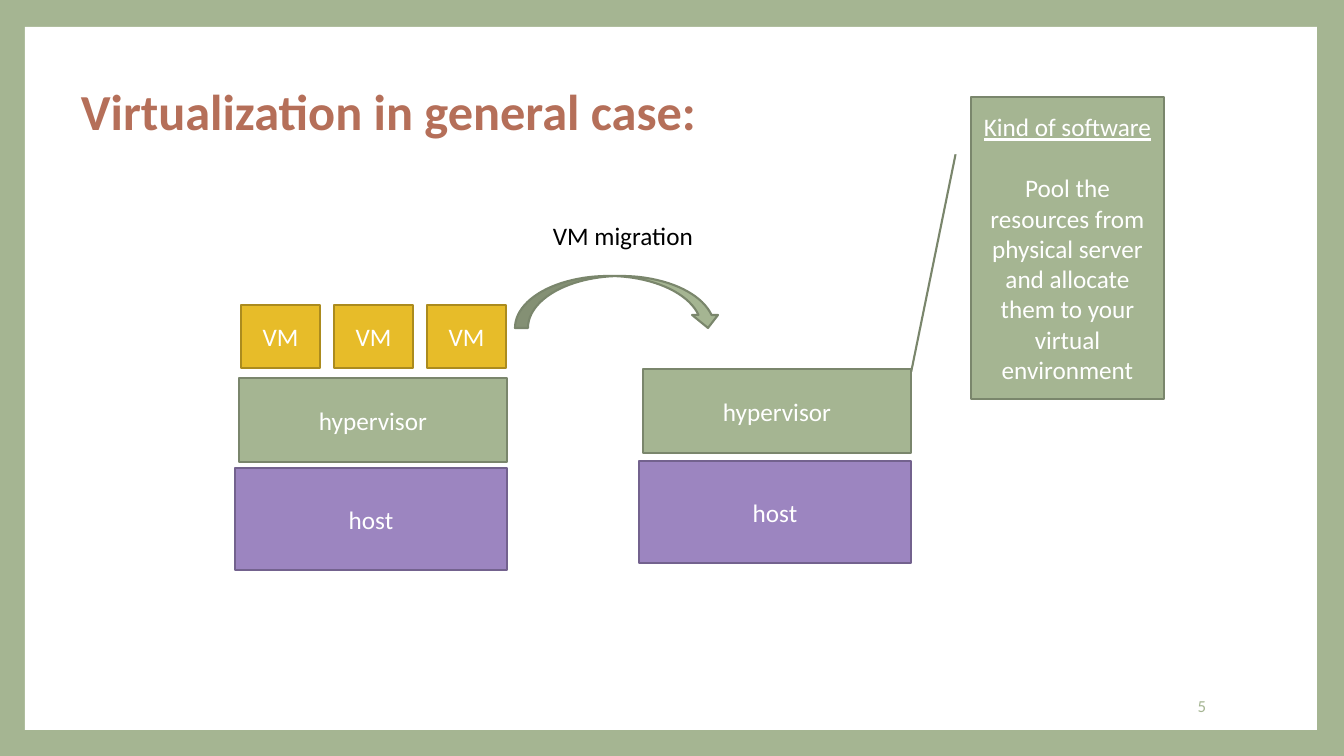
from dataclasses import dataclass

from pptx import Presentation
from pptx.dml.color import RGBColor
from pptx.enum.shapes import MSO_SHAPE
from pptx.enum.text import MSO_ANCHOR, PP_ALIGN
from pptx.util import Emu, Pt

RECT = MSO_SHAPE.RECTANGLE
ARROW = MSO_SHAPE.CURVED_DOWN_ARROW
CALLOUT = MSO_SHAPE.LINE_CALLOUT_1
TOP, MIDDLE = MSO_ANCHOR.TOP, MSO_ANCHOR.MIDDLE
LEFT, CENTER, RIGHT = PP_ALIGN.LEFT, PP_ALIGN.CENTER, PP_ALIGN.RIGHT

WIDE, HIGH = 1344, 756
SCALE = 12192000 / WIDE


@dataclass(frozen=True)
class Theme:
    font: str = "Calibri"
    # Fill and line pairs
    green: tuple = ("A5B592", "7A866C")
    purple: tuple = ("9C85C0", "73628E")
    gold: tuple = ("E7BC29", "AB8B1E")
    white: str = "FFFFFF"
    black: str = "000000"
    rust: str = "B56F59"
    title: int = 36
    body: int = 18
    small: int = 12
    line: float = 1.5


THEME = Theme()


def px(*nums):
    return [Emu(round(n * SCALE)) for n in nums]


def rgb(code):
    return RGBColor.from_string(code)


def write(frame, lines, size, color, align, anchor):
    frame.word_wrap = True
    frame.vertical_anchor = anchor
    for i, line in enumerate(lines):
        para = frame.paragraphs[0] if i == 0 else frame.add_paragraph()
        para.text = line
        para.alignment = align
        para.font.name = THEME.font
        para.font.size = Pt(size)
        para.font.color.rgb = rgb(color)
    return frame.paragraphs


def label(slide, box, text, size, color, align=LEFT, anchor=TOP):
    area = slide.shapes.add_textbox(*px(*box))
    return write(area.text_frame, [text], size, color, align, anchor)[0]


def block(slide, box, pair, *lines, kind=RECT):
    shape = slide.shapes.add_shape(kind, *px(*box))
    shape.shadow.inherit = False
    fill, edge = pair
    shape.fill.solid()
    shape.fill.fore_color.rgb = rgb(fill)
    if edge:
        shape.line.color.rgb = rgb(edge)
        shape.line.width = Pt(THEME.line)
    else:
        shape.line.fill.background()
    if lines:
        write(shape.text_frame, lines, THEME.body, THEME.white, CENTER, MIDDLE)
    return shape


def frame(slide, box):
    """Green border, white panel and page number."""
    x, y, w, h = box
    back = slide.background.fill
    back.solid()
    back.fore_color.rgb = rgb(THEME.green[0])
    block(slide, box, (THEME.white, None))
    label(slide, (x + w - 289, y + h - 44, 188, 40), "5",
          THEME.small, THEME.green[0], RIGHT, MIDDLE)


def stack(slide, box, count=0):
    """Hypervisor on top of a host, with a row of VMs above it."""
    x, y, w, h = box
    block(slide, (x, y + h - 102, w, 102), THEME.purple, "host")
    block(slide, (x + w - 268, y, 268, 84), THEME.green, "hypervisor")
    for i in range(count):
        block(slide, (x + 6 + 93 * i, y - 73, 79, 63), THEME.gold, "VM")


def move(slide, box):
    """Migration label over its curved arrow."""
    x, y, w, h = box
    label(slide, (x + 28, y, 192, 40), "VM migration", THEME.body, THEME.black)
    block(slide, (x, y + h - 52, w, 52), THEME.green, kind=ARROW)


def note(slide, box):
    """Callout that explains the hypervisor."""
    shape = block(slide, box, THEME.green, "Kind of software",
                  "Pool the resources from physical server and allocate "
                  "them to your virtual environment", kind=CALLOUT)
    for i, value in enumerate((0.19, -0.08, 0.91, -0.31)):
        shape.adjustments[i] = value
    head, body = shape.text_frame.paragraphs
    head.font.underline = True
    body.space_before = Pt(22)


def main():
    deck = Presentation()
    deck.slide_width, deck.slide_height = px(WIDE, HIGH)
    slide = deck.slides.add_slide(deck.slide_layouts[6])
    frame(slide, (25, 27, 1292, 703))
    # Title
    title = label(slide, (71, 75, 767, 72), "Virtualization in general case:",
                  THEME.title, THEME.rust)
    title.font.bold = True
    # Diagram
    stack(slide, (235, 378, 272, 192), count=3)
    move(slide, (515, 215, 206, 113))
    stack(slide, (639, 369, 272, 194))
    note(slide, (971, 97, 193, 302))
    deck.save("out.pptx")


if __name__ == "__main__":
    main()
